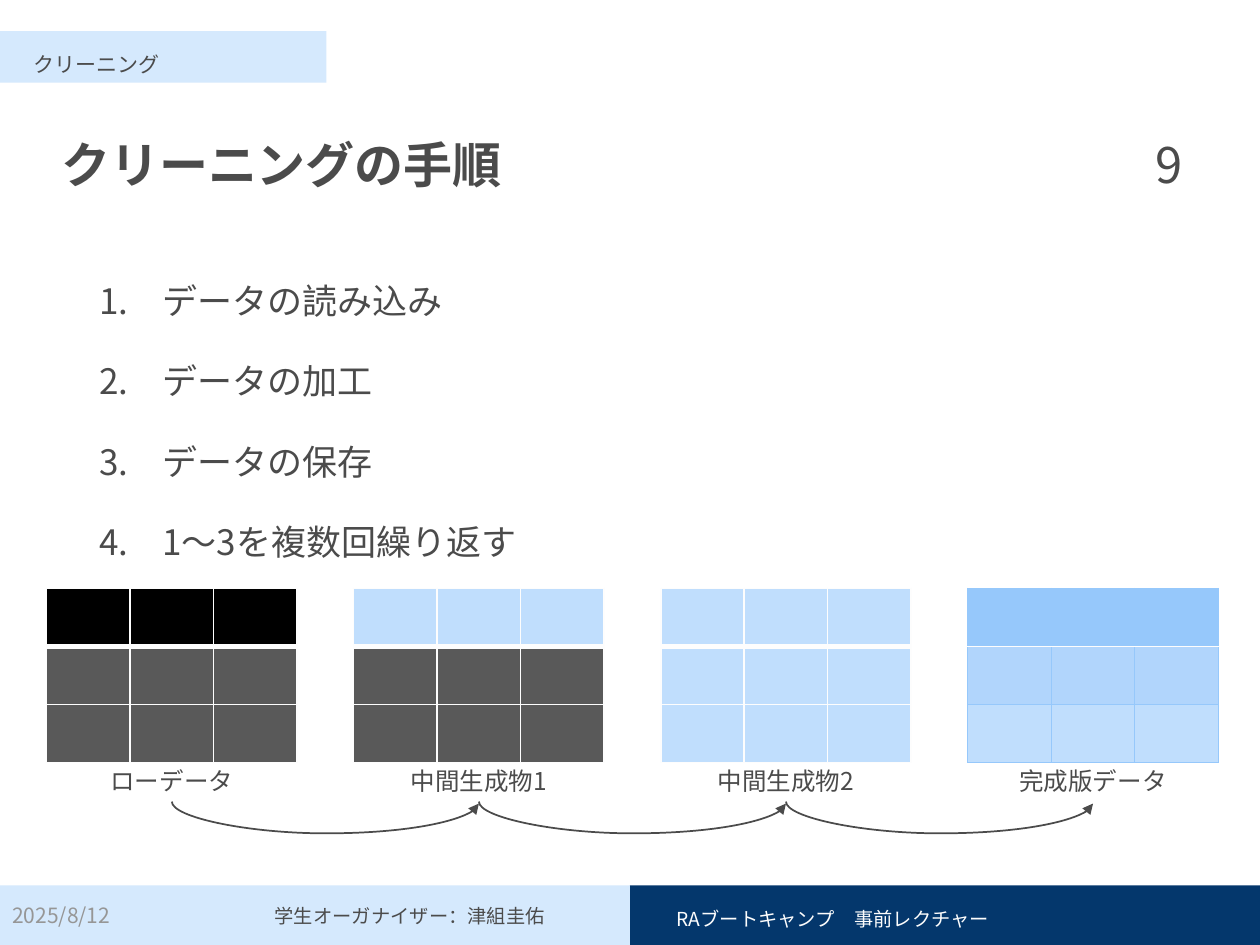
import dataclasses

import lxml.etree
import pptx
import pptx.dml.color
import pptx.enum.shapes
import pptx.enum.text
import pptx.oxml
import pptx.oxml.ns
import pptx.util

Cm = pptx.util.Cm
Pt = pptx.util.Pt
qn = pptx.oxml.ns.qn
ALIGN = pptx.enum.text.PP_ALIGN
ANCHOR = pptx.enum.text.MSO_ANCHOR


@dataclasses.dataclass(frozen=True)
class Theme:
    """Font, colours and type sizes of the slide."""
    font: str = "Noto Sans CJK JP"
    text: str = "4B4B4B"
    muted: str = "969696"
    white: str = "FDFDFD"
    navy: str = "04376C"
    pale: str = "D5E9FD"
    black: str = "000000"
    grey: str = "595959"
    light: str = "C0DEFD"
    mid: str = "B1D5FC"
    blue: str = "96C8FB"
    title: int = 28
    body: int = 20
    label: int = 14
    small: int = 12
    footer: int = 11


T = Theme()


def rgb(value):
    """Turn a hex string into a colour."""
    return pptx.dml.color.RGBColor.from_string(value)


def add_bar(s, x, y, w, h, color):
    """Add a plain filled rectangle."""
    sp = s.shapes.add_shape(pptx.enum.shapes.MSO_SHAPE.RECTANGLE, Cm(x), Cm(y), Cm(w), Cm(h))
    sp.shadow.inherit = False
    sp.fill.solid()
    sp.fill.fore_color.rgb = rgb(color)
    sp.line.fill.background()


def add_run(p, text, size, color, bold):
    """Add one styled run to a paragraph."""
    r = p.add_run()
    r.text = text
    r.font.size = Pt(size)
    r.font.bold = bold
    r.font.name = T.font
    r.font.color.rgb = rgb(color)
    latin = r.font._element.find(qn("a:latin"))
    ea = lxml.etree.Element(qn("a:ea"), typeface=T.font)
    latin.addnext(ea)


def add_text(s, x, y, w, h, lines, size, color=T.text, bold=False, align=ALIGN.LEFT,
             anchor=ANCHOR.TOP, spacing=None, before=None, numbered=False, grow=False):
    """Add a text box with one paragraph per line."""
    sp = s.shapes.add_textbox(Cm(x), Cm(y), Cm(w), Cm(h))
    tf = sp.text_frame
    tf.word_wrap = True
    tf.vertical_anchor = anchor
    if grow:
        tf.auto_size = pptx.enum.text.MSO_AUTO_SIZE.SHAPE_TO_FIT_TEXT
    for i, line in enumerate(lines):
        p = tf.add_paragraph() if i else tf.paragraphs[0]
        p.alignment = align
        if spacing:
            p.line_spacing = spacing
        if before:
            p.space_before = Pt(before)
        if numbered:
            pPr = p._p.get_or_add_pPr()
            pPr.set("marL", str(Cm(1.27)))
            pPr.set("indent", str(-Cm(1.27)))
            lxml.etree.SubElement(pPr, qn("a:buFont"), typeface="+mj-lt")
            lxml.etree.SubElement(pPr, qn("a:buAutoNum"), type="arabicPeriod")
        add_run(p, line, size, color, bold)


def set_borders(cell, borders):
    """Draw the left, right, top and bottom borders of a cell."""
    tcPr = cell._tc.get_or_add_tcPr()
    for i, (side, (color, width)) in enumerate(borders.items()):
        ln = lxml.etree.Element(qn(f"a:ln{side}"), w=str(Pt(width)))
        fill = lxml.etree.SubElement(ln, qn("a:solidFill"))
        lxml.etree.SubElement(fill, qn("a:srgbClr"), val=color)
        tcPr.insert(i, ln)


def add_grid(s, x, y, w, row_h, fills, edge, rule):
    """Add an empty three-column table with a fill per row and a rule below its header."""
    n = len(fills)
    tbl = s.shapes.add_table(n, 3, Cm(x), Cm(y), Cm(w), Cm(row_h * n)).table
    tbl.first_row = tbl.horz_banding = False
    for i, color in enumerate(fills):
        tbl.rows[i].height = Cm(row_h)
        for cell in tbl.rows[i].cells:
            cell.fill.solid()
            cell.fill.fore_color.rgb = rgb(color)
            set_borders(cell, {"L": edge, "R": edge,
                               "T": rule if i == 1 else edge,
                               "B": rule if i == 0 else edge})


def add_arc(s, cx, cy, span):
    """Add a curved arrow that sags below a horizontal span."""
    gap = 0.04
    x, y = cx - gap / 2, cy - span / 2
    c = s.shapes.add_connector(pptx.enum.shapes.MSO_CONNECTOR.CURVE,
                               Cm(x + gap), Cm(y), Cm(x), Cm(y + span))
    c._element.spPr.find(qn("a:xfrm")).set("rot", "16200000")
    avLst = c._element.spPr.find(qn("a:prstGeom")).find(qn("a:avLst"))
    lxml.etree.SubElement(avLst, qn("a:gd"), name="adj1", fmla="val 1600000")
    c.line.color.rgb = rgb(T.text)
    c.line.width = Pt(1)
    ln = c._element.spPr.find(qn("a:ln"))
    lxml.etree.SubElement(ln, qn("a:tailEnd"), type="triangle")
    lxml.etree.SubElement(c._element.spPr, qn("a:effectLst"))


def add_stages(s):
    """Add the four data stages with their labels and the arrows between them."""
    left, pitch, width = 0.94, 6.19, 5.05
    thin, thick, hair = (T.white, 1), (T.white, 3), (T.blue, 0.5)
    stages = [
        ("ローデータ", (T.black, T.grey, T.grey), thin, thick),
        ("中間生成物1", (T.light, T.grey, T.grey), thin, thick),
        ("中間生成物2", (T.light, T.light, T.light), thin, thick),
        ("完成版データ", (T.blue, T.mid, T.light), hair, thin),
    ]
    for i, (label, fills, edge, rule) in enumerate(stages):
        x = left + i * pitch
        add_grid(s, x, 11.86, width, 1.17, fills, edge, rule)
        add_text(s, x, 15.32, width, 0.86, [label], T.label, align=ALIGN.CENTER, grow=True)
    for i in range(len(stages) - 1):
        add_arc(s, left + width / 2 + (i + 0.5) * pitch, 16.18, pitch)


def main():
    """Build the slide and save it."""
    prs = pptx.Presentation()
    prs.slide_width, prs.slide_height = Cm(25.4), Cm(19.05)
    s = prs.slides.add_slide(prs.slide_layouts[6])
    add_bar(s, 12.7, 17.85, 12.7, 1.2, T.navy)
    add_bar(s, 0, 17.85, 12.7, 1.2, T.pale)
    add_bar(s, 0, 0.63, 6.58, 1.04, T.pale)
    add_text(s, 3.91, 18.16, 8.71, 0.71, ["学生オーガナイザー：津組圭佑"], T.footer,
             align=ALIGN.CENTER, spacing=0.9, before=10)
    add_text(s, 0, 1.75, 25.4, 3.25, ["　クリーニングの手順"], T.title, bold=True,
             anchor=ANCHOR.MIDDLE, spacing=0.9)
    add_text(s, 1.75, 5.08, 21.9, 12.09,
             ["データの読み込み", "データの加工", "データの保存", "1～3を複数回繰り返す"],
             T.body, spacing=1.5, before=10, numbered=True)
    add_text(s, 18.54, 1.68, 5.56, 3.25, ["9"], T.title, align=ALIGN.RIGHT, anchor=ANCHOR.MIDDLE)
    add_text(s, 13, 18.16, 11.79, 0.71, ["　RAブートキャンプ　事前レクチャー"], T.footer, T.white)
    add_text(s, 0, 17.85, 4.45, 1.2, ["2025/8/12"], T.small, T.muted, anchor=ANCHOR.MIDDLE)
    add_text(s, 0, 0.66, 6.58, 0.99, ["　クリーニング"], T.small, spacing=1.5, before=10)
    add_stages(s)
    prs.save("out.pptx")


if __name__ == "__main__":
    main()
